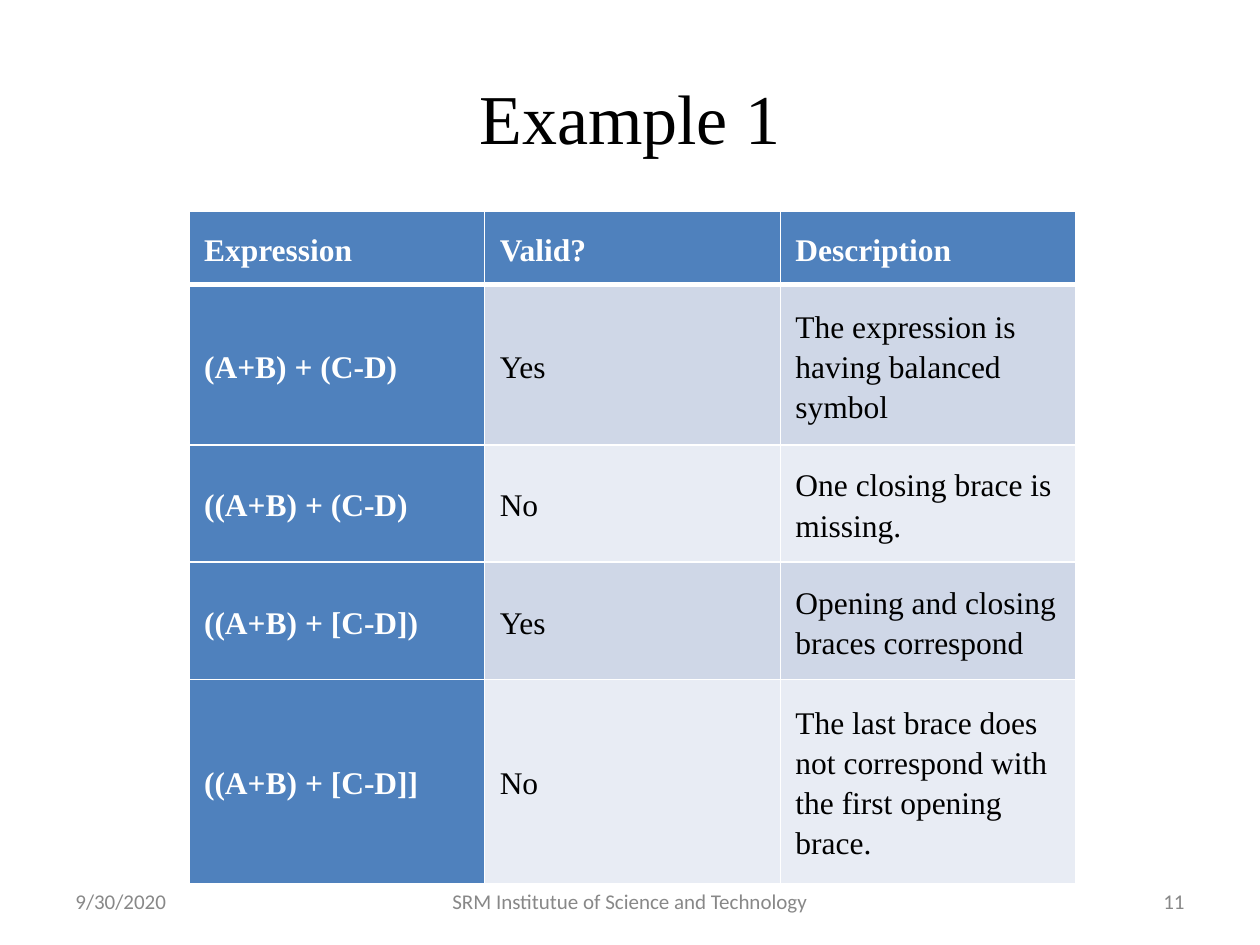
import pptx
import pptx.dml.color
import pptx.enum.text
import pptx.oxml
import pptx.oxml.ns
import pptx.util

Pt = pptx.util.Pt
RGB = pptx.dml.color.RGBColor.from_string
ALIGN = pptx.enum.text.PP_ALIGN
MIDDLE = pptx.enum.text.MSO_ANCHOR.MIDDLE


class Theme:
    serif, sans = "Times New Roman", "Calibri"
    title, body, small = 40, 18, 12
    ink, paper, gray = "000000", "FFFFFF", "888888"
    head, bands = "4F81BD", ("CFD7E7", "E8ECF4")


ROWS = [
    ("Expression", "Valid?", "Description"),
    ("(A+B) + (C-D)", "Yes", "The expression is having balanced symbol"),
    ("((A+B) + (C-D)", "No", "One closing brace is missing."),
    ("((A+B) + [C-D])", "Yes", "Opening and closing braces correspond"),
    ("((A+B) + [C-D]]", "No",
     "The last brace does not correspond with the first opening brace."),
]
HEIGHTS = (40, 86, 64, 64, 109)
WIDTH = 169


def style(item, values):
    for name, value in values.items():
        setattr(item, name, value)


def write(par, text, color, **font):
    par.text = text
    style(par.font, font)
    par.font.color.rgb = RGB(color)


def label(slide, box, text, color, align, **font):
    frame = slide.shapes.add_textbox(*map(Pt, box)).text_frame
    style(frame, {"word_wrap": True, "vertical_anchor": MIDDLE})
    par = frame.paragraphs[0]
    par.alignment = align
    write(par, text, color, **font)


def border(cell, sides):
    props = cell._tc.get_or_add_tcPr()
    # Lines come before the fill
    for place, (side, width) in enumerate(sides.items()):
        props.insert(place, pptx.oxml.parse_xml(
            f'<a:ln{side} {pptx.oxml.ns.nsdecls("a")} w="{Pt(width)}">'
            f'<a:solidFill><a:srgbClr val="{Theme.paper}"/></a:solidFill>'
            f'</a:ln{side}>'))


def fill(cell, text, row, col):
    strong = row == 0 or col == 0
    style(cell, {"vertical_anchor": MIDDLE} | {
        f"margin_{side}": Pt(8.64)
        for side in ("left", "right", "top", "bottom")})
    cell.fill.solid()
    cell.fill.fore_color.rgb = RGB(
        Theme.head if strong else Theme.bands[(row - 1) % 2])
    border(cell, {"L": 1, "R": 1, "T": 3 if row == 1 else 1,
                  "B": 3 if row == 0 else 1})
    par = cell.text_frame.paragraphs[0]
    par.line_spacing = 1.15
    write(par, text, Theme.paper if strong else Theme.ink,
          name=Theme.serif, size=Pt(Theme.body), bold=strong)


def grid(slide, left, top):
    count = len(ROWS[0])
    table = slide.shapes.add_table(
        len(ROWS), count, Pt(left), Pt(top),
        Pt(WIDTH * count), Pt(sum(HEIGHTS))).table
    for col in table.columns:
        col.width = Pt(WIDTH)
    for row, (texts, height) in enumerate(zip(ROWS, HEIGHTS)):
        table.rows[row].height = Pt(height)
        for col, text in enumerate(texts):
            fill(table.cell(row, col), text, row, col)


def main():
    deck = pptx.Presentation()
    style(deck, {"slide_width": Pt(720), "slide_height": Pt(540)})
    slide = deck.slides.add_slide(deck.slide_layouts[6])

    # Title
    label(slide, (36, 21.6, 648, 90), "Example 1", Theme.ink, ALIGN.CENTER,
          name=Theme.serif, size=Pt(Theme.title))

    # Table of expressions
    grid(slide, 108, 120.5)

    # Footer
    for left, width, text, align in (
            (36, 168, "9/30/2020", ALIGN.LEFT),
            (246, 228, "SRM Institutue of Science and Technology",
             ALIGN.CENTER),
            (516, 168, "11", ALIGN.RIGHT)):
        label(slide, (left, 500.5, width, 28.75), text, Theme.gray, align,
              name=Theme.sans, size=Pt(Theme.small))

    deck.save("out.pptx")


if __name__ == "__main__":
    main()
